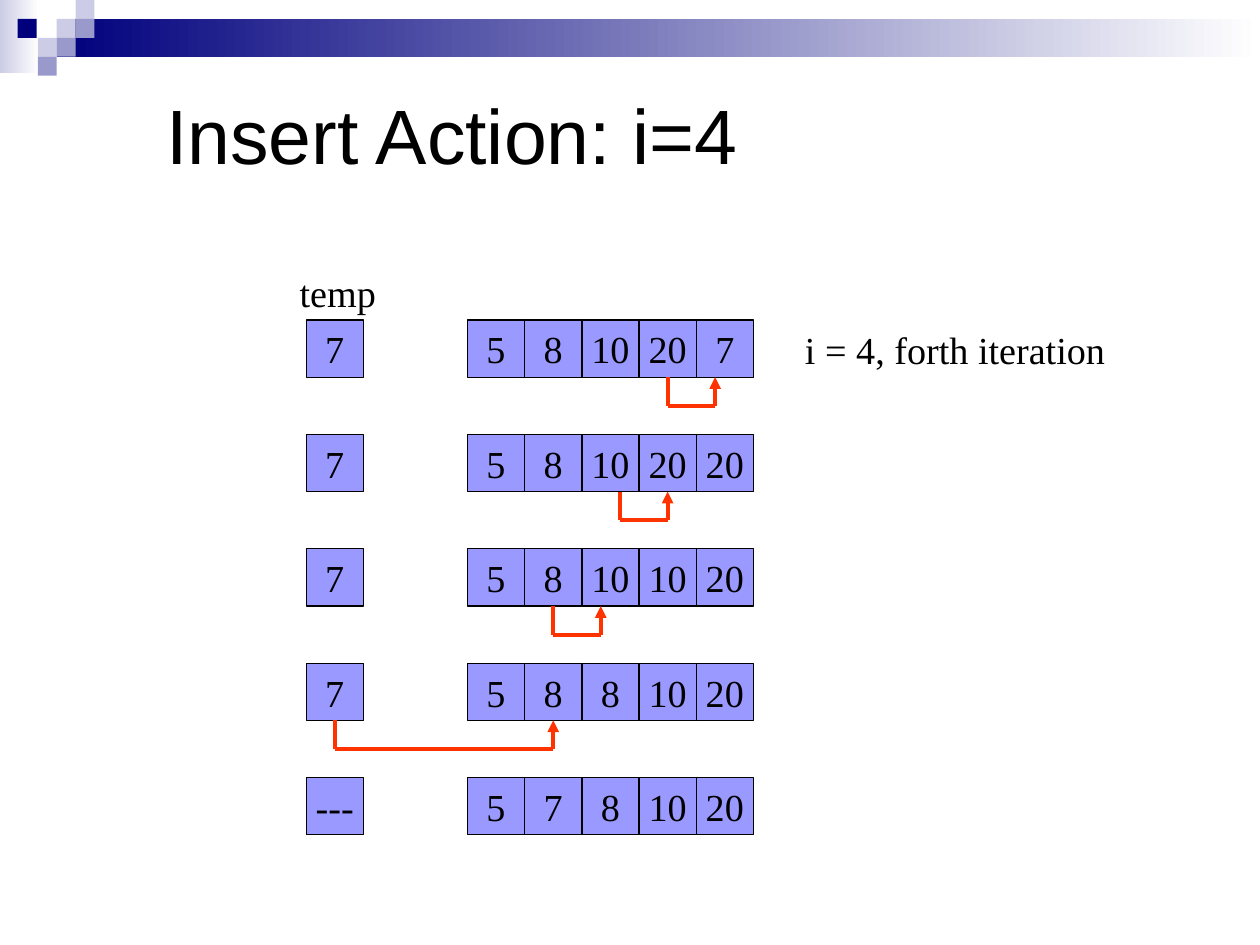
"""Build a slide that traces one insertion sort pass, row by row."""
from dataclasses import dataclass
from typing import Any, Optional

import pptx
import pptx.dml.color
import pptx.enum.shapes
import pptx.enum.text
import pptx.oxml
import pptx.oxml.ns
import pptx.util
from pptx.util import Inches

CELL = 2.27 / 5
ROW_PITCH = 2 * CELL
ROW_TOP, TEMP_LEFT, ARRAY_LEFT = 2.54, 2.43, 3.71
SQUARE = 0.15
NAVY, LAVENDER, VIOLET, WHITE = "00007D", "CCCCE6", "9999CC", "FFFFFF"
CELL_FILL, BLACK, RED = "9999FF", "000000", "FF3300"
BODY_FONT = {"name": "Times New Roman", "size": pptx.util.Pt(21.8)}
TITLE_FONT = {"name": "Arial", "size": pptx.util.Pt(44)}


@dataclass(frozen=True)
class Stem:
    """An arrow leg: cell 0 is temp, 1 to 5 the array; shift is in cell widths."""
    cell: int
    shift: float = 0


@dataclass(frozen=True)
class Step:
    """One state of temp and the array, with the move that follows."""
    temp: str
    values: tuple[str, ...]
    source: Optional[Stem] = None
    target: Optional[Stem] = None


@dataclass(frozen=True)
class Band:
    """A decorative rectangle, graded when it has an end colour."""
    left: float
    top: float
    width: float
    height: float
    color: str
    end_color: Optional[str] = None


STEPS = (
    Step("7", ("5", "8", "10", "20", "7"), Stem(4), Stem(5, -0.17)),
    Step("7", ("5", "8", "10", "20", "20"), Stem(3, 0.17), Stem(4)),
    Step("7", ("5", "8", "10", "10", "20"), Stem(2), Stem(3, -0.17)),
    Step("7", ("5", "8", "8", "10", "20"), Stem(0), Stem(2)),
    Step("---", ("5", "7", "8", "10", "20")),
)
BANDS = (
    Band(0, 0, 0.31, 0.58, LAVENDER, WHITE),
    Band(0.45, 0.15, 9.55, 0.3, NAVY, WHITE),
    *(Band(left, top, SQUARE, SQUARE, color) for left, top, color in (
        (0.45, 0.15, LAVENDER), (0.6, 0, LAVENDER), (0.6, 0.15, VIOLET),
        (0.3, 0.3, LAVENDER), (0.14, 0.15, NAVY), (0.45, 0.3, VIOLET),
        (0.3, 0.45, VIOLET))),
)


def rgb(value: str) -> pptx.dml.color.RGBColor:
    """Turn a hex string into a colour."""
    return pptx.dml.color.RGBColor.from_string(value)


def apply(target: Any, values: dict[str, Any]) -> None:
    """Set each named attribute on the target."""
    for name, value in values.items():
        setattr(target, name, value)


def write(box: Any, text: str, font: dict[str, Any], align: Any, frame: dict[str, Any]) -> None:
    """Put one formatted paragraph into a shape."""
    apply(box.text_frame, frame)
    para = box.text_frame.paragraphs[0]
    para.alignment = align
    span = para.add_run()
    span.text = text
    apply(span.font, font)
    span.font.color.rgb = rgb(BLACK)


def add_rectangle(page: Any, left: float, top: float, width: float, height: float) -> Any:
    """Add a rectangle without a shadow."""
    box = page.shapes.add_shape(
        pptx.enum.shapes.MSO_SHAPE.RECTANGLE,
        Inches(left), Inches(top), Inches(width), Inches(height))
    box.shadow.inherit = False
    return box


def add_band(page: Any, band: Band) -> None:
    """Draw a decorative rectangle."""
    box = add_rectangle(page, band.left, band.top, band.width, band.height)
    box.line.fill.background()
    if band.end_color is None:
        box.fill.solid()
        box.fill.fore_color.rgb = rgb(band.color)
        return
    box.fill.gradient()
    box.fill.gradient_angle = 0
    for stop, color in zip(box.fill.gradient_stops, (band.color, band.end_color)):
        stop.color.rgb = rgb(color)


def add_cell(page: Any, left: float, top: float, text: str) -> Any:
    """Draw one value cell."""
    box = add_rectangle(page, left, top, CELL, CELL)
    box.fill.solid()
    box.fill.fore_color.rgb = rgb(CELL_FILL)
    box.line.color.rgb = rgb(BLACK)
    box.line.width = pptx.util.Pt(0.75)
    write(box, text, BODY_FONT, pptx.enum.text.PP_ALIGN.CENTER,
          {"word_wrap": False, "vertical_anchor": pptx.enum.text.MSO_ANCHOR.MIDDLE})
    return box


def add_label(page: Any, left: float, top: float, width: float, text: str) -> None:
    """Draw a free text label."""
    box = page.shapes.add_textbox(Inches(left), Inches(top), Inches(width), Inches(0.47))
    write(box, text, BODY_FONT, pptx.enum.text.PP_ALIGN.LEFT,
          {"word_wrap": True, "auto_size": pptx.enum.text.MSO_AUTO_SIZE.SHAPE_TO_FIT_TEXT})


def add_line(page: Any, start: tuple[int, int], end: tuple[int, int], arrow: bool = False) -> Any:
    """Draw a red line, with an arrowhead at its end if asked."""
    line = page.shapes.add_connector(pptx.enum.shapes.MSO_CONNECTOR.STRAIGHT, *start, *end)
    line.line.color.rgb = rgb(RED)
    line.line.width = pptx.util.Pt(2.25)
    if arrow:
        head = pptx.oxml.parse_xml(
            f'<a:tailEnd {pptx.oxml.ns.nsdecls("a")} type="triangle"/>')
        line.line._get_or_add_ln().append(head)
    line._element.spPr.append(
        pptx.oxml.parse_xml(f'<a:effectLst {pptx.oxml.ns.nsdecls("a")}/>'))
    return line


def add_move(page: Any, cells: list[Any], source: Stem, target: Stem) -> None:
    """Draw the bent arrow that runs under a row from source to target."""
    bottom = cells[0].top + cells[0].height
    low = bottom + Inches(CELL / 2)
    corners = []
    for stem in (source, target):
        cell = cells[stem.cell]
        x = cell.left + cell.width // 2 + Inches(stem.shift * CELL)
        leg = add_line(page, (x, low), (x, bottom), arrow=stem is target)
        if not stem.shift:
            leg.end_connect(cell, 2)
        corners.append((x, low))
    add_line(page, corners[1], corners[0])


def main() -> None:
    """Build and save the deck."""
    deck = pptx.Presentation()
    apply(deck, {"slide_width": Inches(10), "slide_height": Inches(7.5)})
    page = deck.slides.add_slide(deck.slide_layouts[5])
    for band in BANDS:
        add_band(page, band)
    title = page.shapes.title
    apply(title, {"left": Inches(1.22), "top": Inches(0.5),
                  "width": Inches(7.71), "height": Inches(1.13)})
    write(title, "Insert Action: i=4", TITLE_FONT, pptx.enum.text.PP_ALIGN.LEFT,
          {"vertical_anchor": pptx.enum.text.MSO_ANCHOR.MIDDLE,
           "auto_size": pptx.enum.text.MSO_AUTO_SIZE.NONE})
    lefts = [TEMP_LEFT, *(ARRAY_LEFT + column * CELL for column in range(5))]
    for row, step in enumerate(STEPS):
        top = ROW_TOP + row * ROW_PITCH
        cells = [add_cell(page, left, top, text)
                 for left, text in zip(lefts, (step.temp, *step.values))]
        if step.source and step.target:
            add_move(page, cells, step.source, step.target)
    add_label(page, 2.28, 2.09, 0.91, "temp")
    add_label(page, 6.29, ROW_TOP, 2.72, "i = 4, forth iteration")
    deck.save("out.pptx")


if __name__ == "__main__":
    main()
